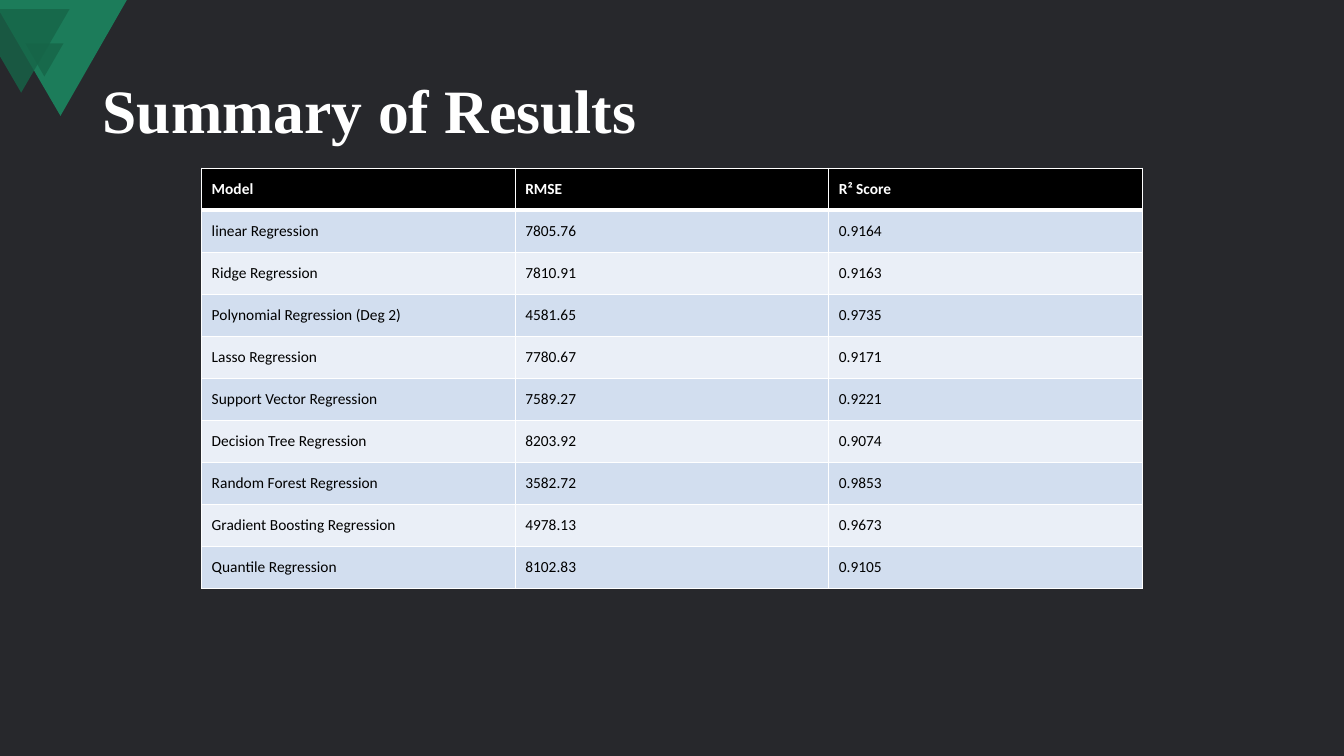
from lxml.etree import SubElement
from pptx import Presentation
from pptx.dml.color import RGBColor
from pptx.enum.shapes import MSO_SHAPE
from pptx.enum.text import MSO_ANCHOR
from pptx.oxml.ns import qn
from pptx.util import Inches, Pt

BACKGROUND = RGBColor(0x27, 0x28, 0x2C)
GREEN = RGBColor(0x1C, 0x7C, 0x5A)
DARK_GREEN = RGBColor(0x16, 0x65, 0x48)
WHITE = RGBColor(0xFF, 0xFF, 0xFF)
BLACK = RGBColor(0x00, 0x00, 0x00)
BAND_DARK = RGBColor(0xD2, 0xDE, 0xEF)
BAND_LIGHT = RGBColor(0xEA, 0xEF, 0xF7)

RESULTS = [
    ("Model", "RMSE", "R² Score"),
    ("linear Regression", "7805.76", "0.9164"),
    ("Ridge Regression", "7810.91", "0.9163"),
    ("Polynomial Regression (Deg 2)", "4581.65", "0.9735"),
    ("Lasso Regression", "7780.67", "0.9171"),
    ("Support Vector Regression", "7589.27", "0.9221"),
    ("Decision Tree Regression", "8203.92", "0.9074"),
    ("Random Forest Regression", "3582.72", "0.9853"),
    ("Gradient Boosting Regression", "4978.13", "0.9673"),
    ("Quantile Regression", "8102.83", "0.9105"),
]


def write_text(frame, text, *, size, font, color, bold=False, line_spacing=None):
    frame.word_wrap = True
    para = frame.paragraphs[0]
    if line_spacing:
        para.line_spacing = line_spacing
    span = para.add_run()
    span.text = text
    span.font.size = Pt(size)
    span.font.name = font
    span.font.bold = bold
    span.font.color.rgb = color


def paint(shape, color, opacity=100):
    """Fill a shape without line or shadow; opacity is in percent."""
    shape.shadow.inherit = False
    shape.line.fill.background()
    shape.fill.solid()
    shape.fill.fore_color.rgb = color
    if opacity < 100:
        color_node = shape.fill._xPr.find(qn("a:solidFill"))[0]
        SubElement(color_node, qn("a:alpha")).set("val", str(opacity * 1000))


def add_outline(page, points, color, opacity=100):
    corners = [(Inches(x), Inches(y)) for x, y in points]
    builder = page.shapes.build_freeform(*corners[0])
    builder.add_line_segments(corners[1:], close=True)
    paint(builder.convert_to_shape(), color, opacity)


def add_corner_triangles(page):
    add_outline(page, [(0, -0.02), (1.27, -0.02), (0.6, 1.15), (0, 0.12)], GREEN)
    small = page.shapes.add_shape(
        MSO_SHAPE.ISOSCELES_TRIANGLE,
        Inches(0.25), Inches(0.43), Inches(0.38), Inches(0.33))
    small._element.spPr.get_or_add_xfrm().set("flipV", "1")
    paint(small, DARK_GREEN, 80)
    add_outline(page, [(0, 0.09), (0.69, 0.09), (0.21, 0.92), (0, 0.56)], DARK_GREEN, 80)


def add_title(page, text):
    box = page.shapes.add_textbox(Inches(0.92), Inches(0.4), Inches(11.5), Inches(1.45))
    box.text_frame.vertical_anchor = MSO_ANCHOR.MIDDLE
    write_text(box.text_frame, text, size=44, font="Times New Roman",
               color=WHITE, bold=True, line_spacing=0.9)


def set_borders(cell, color, **widths):
    """Draw cell borders; widths are points keyed by side, in the order L, R, T, B."""
    properties = cell._tc.get_or_add_tcPr()
    for side, width in widths.items():
        line = SubElement(properties, qn(f"a:ln{side}"), w=str(Pt(width)))
        fill = SubElement(line, qn("a:solidFill"))
        SubElement(fill, qn("a:srgbClr"), val=str(color))


def add_results_table(page, rows):
    row_height, column_width = Inches(0.4167), Inches(3.11)
    count = len(rows[0])
    table = page.shapes.add_table(
        len(rows), count, Inches(2), Inches(1.67),
        column_width * count, row_height * len(rows)).table
    for column in table.columns:
        column.width = column_width
    for index, values in enumerate(rows):
        header = index == 0
        table.rows[index].height = row_height
        band = BLACK if header else BAND_DARK if index % 2 else BAND_LIGHT
        for column, value in enumerate(values):
            cell = table.cell(index, column)
            cell.vertical_anchor = MSO_ANCHOR.MIDDLE
            set_borders(cell, WHITE, L=1, R=1, T=3 if index == 1 else 1, B=3 if header else 1)
            cell.fill.solid()
            cell.fill.fore_color.rgb = band
            write_text(cell.text_frame, value, size=11, font="Calibri",
                       color=WHITE if header else BLACK, bold=header)


def main():
    deck = Presentation()
    deck.slide_width, deck.slide_height = Inches(13.33), Inches(7.5)
    page = deck.slides.add_slide(deck.slide_layouts[6])
    page.background.fill.solid()
    page.background.fill.fore_color.rgb = BACKGROUND
    add_corner_triangles(page)
    add_title(page, "Summary of Results")
    add_results_table(page, RESULTS)
    deck.save("out.pptx")


if __name__ == "__main__":
    main()
